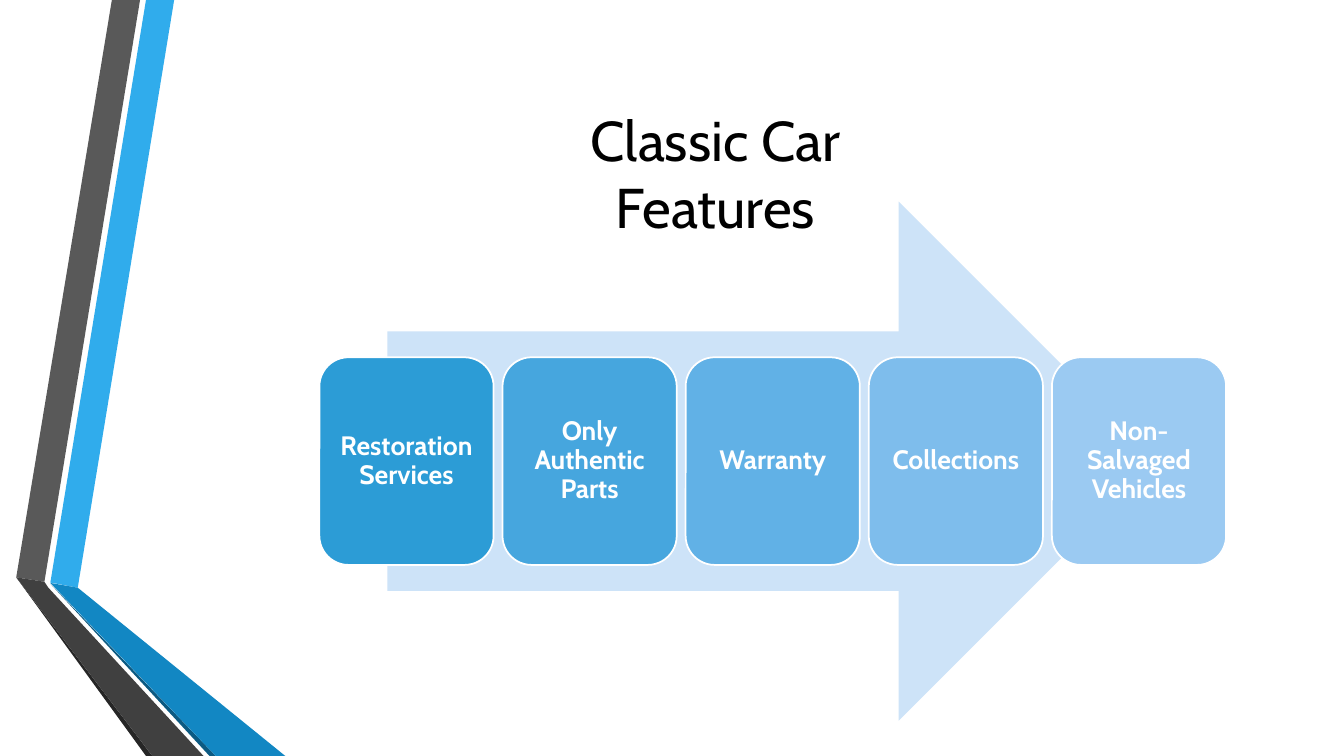
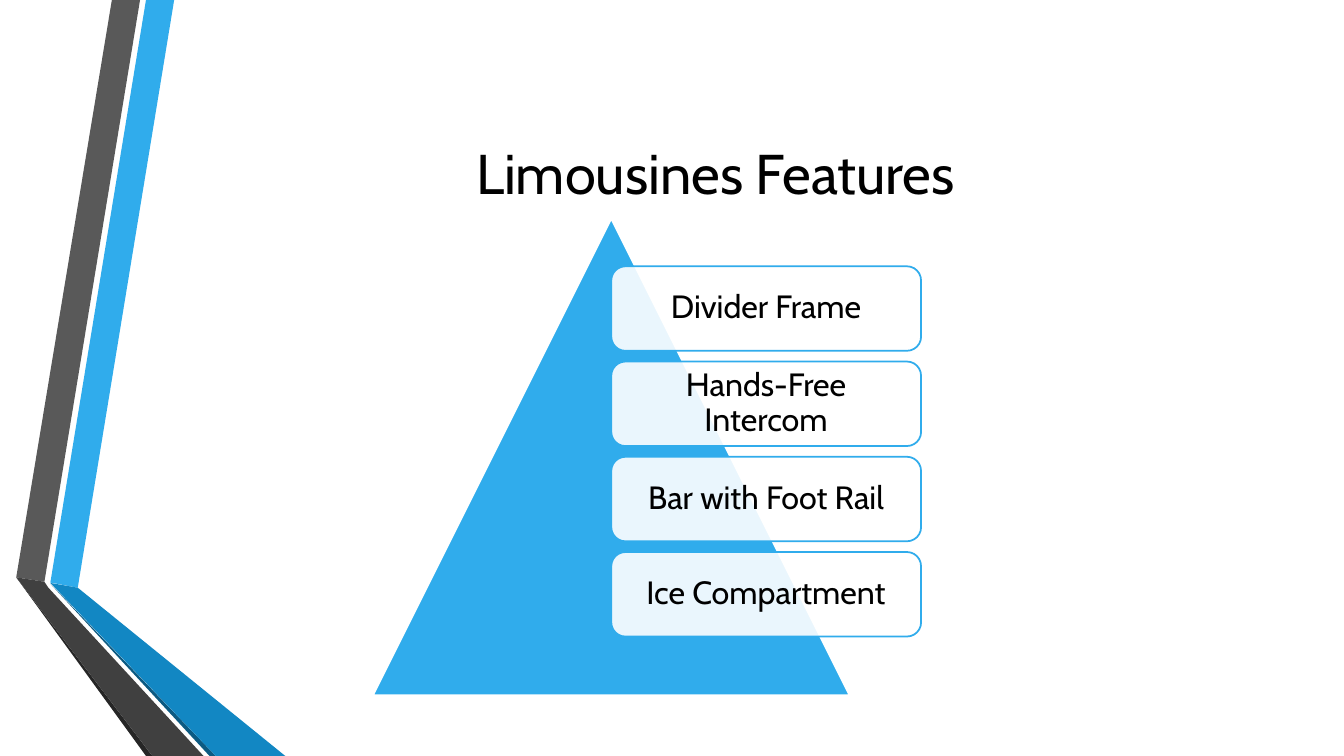
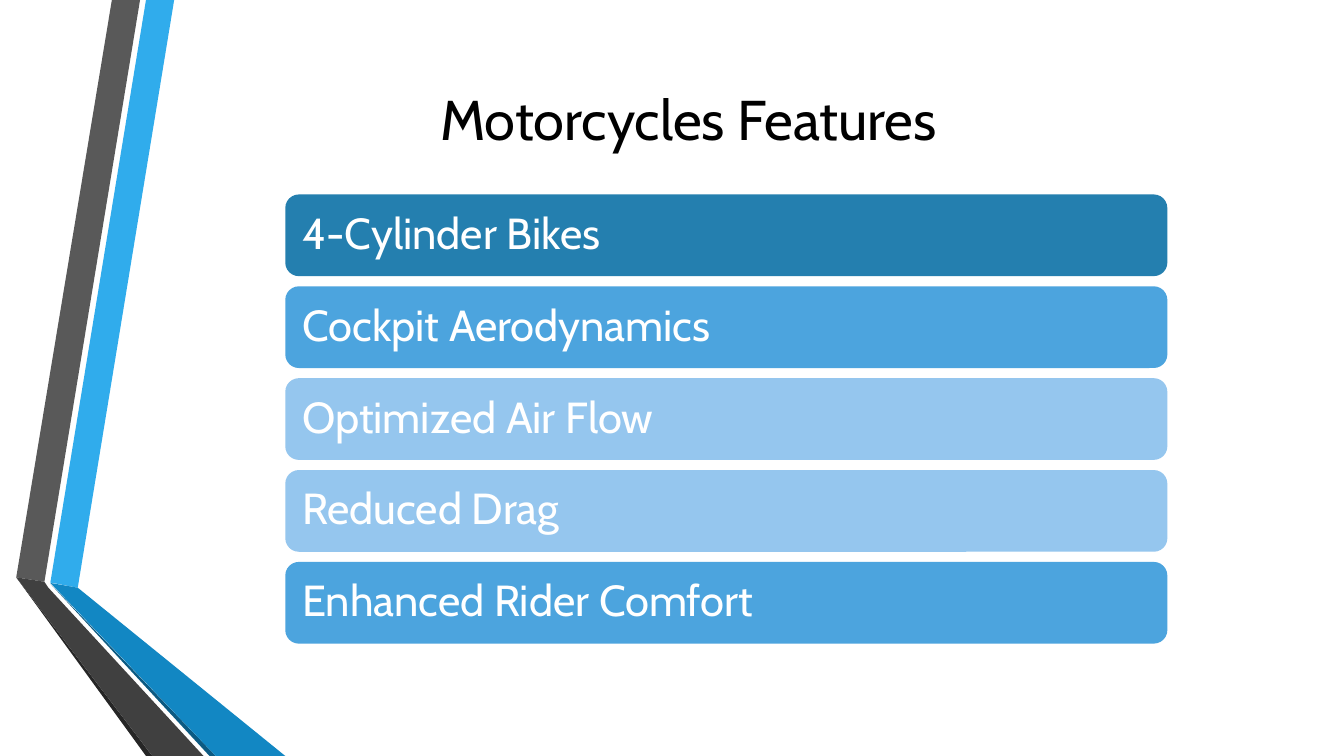
from dataclasses import dataclass

from lxml import etree
from pptx import Presentation
from pptx import util as u
from pptx.dml.color import RGBColor
from pptx.enum import shapes, text
from pptx.oxml import ns

FONT = "Cabin"
BLACK = RGBColor(0x00, 0x00, 0x00)
WHITE = RGBColor(0xFF, 0xFF, 0xFF)
SKY = RGBColor(0x30, 0xAC, 0xEC)
OCEAN = RGBColor(0x12, 0x87, 0xC3)
NAVY = RGBColor(0x0C, 0x5A, 0x82)
GREY = RGBColor(0x59, 0x59, 0x59)
DARK_GREY = RGBColor(0x40, 0x40, 0x40)
CHARCOAL = RGBColor(0x26, 0x26, 0x26)
PALE_BLUE = RGBColor(0xCD, 0xE3, 0xF8)
CARD_BLUES = [
    RGBColor(0x2C, 0x9C, 0xD6),
    RGBColor(0x46, 0xA6, 0xDE),
    RGBColor(0x61, 0xB1, 0xE6),
    RGBColor(0x7E, 0xBD, 0xEC),
    RGBColor(0x9B, 0xCA, 0xF2),
]
BAR_DARK = RGBColor(0x24, 0x7F, 0xAF)
BAR_MEDIUM = RGBColor(0x4C, 0xA4, 0xDE)
BAR_LIGHT = RGBColor(0x95, 0xC6, 0xEE)

RIBBONS = [
    (SKY, [(1.27, 14.68), (1.96, 14.81), (4.39, 0), (3.68, 0)]),
    (GREY, [(3.53, 0), (2.82, 0), (0.41, 14.55), (1.12, 14.66)]),
    (CHARCOAL, [(0.41, 14.55), (3.68, 19.05), (3.84, 19.05)]),
    (NAVY, [(1.27, 14.71), (5.28, 19.05), (5.44, 19.05)]),
    (OCEAN, [(1.27, 14.69), (5.44, 19.05), (7.19, 19.05), (1.96, 14.81)]),
    (DARK_GREY, [(5.13, 19.05), (1.22, 14.81), (1.12, 14.66),
                 (0.41, 14.55), (3.84, 19.05)]),
]


@dataclass
class Box:
    left: float
    top: float
    width: float
    height: float

    def lengths(self):
        return [u.Cm(n) for n in (self.left, self.top, self.width, self.height)]


TITLE_BOX = Box(4.11, 1.9, 27.84, 4.88)
HIGH_TITLE_BOX = Box(5.28, 1.07, 24.13, 3.81)


def style_shape(shape, fill, line=None, opacity=None):
    shape.shadow.inherit = False
    shape.fill.solid()
    shape.fill.fore_color.rgb = fill
    if opacity is not None:
        color = shape.fill._xPr.find(".//" + ns.qn("a:srgbClr"))
        alpha = etree.SubElement(color, ns.qn("a:alpha"))
        alpha.set("val", str(opacity * 1000))
    if line is None:
        shape.line.fill.background()
    else:
        shape.line.color.rgb = line
        shape.line.width = u.Pt(1.25)


def write_text(shape, words, size, color=BLACK, bold=False,
               align=text.PP_ALIGN.CENTER, spacing=None, inset=0.25):
    frame = shape.text_frame
    frame.word_wrap = True
    frame.vertical_anchor = text.MSO_ANCHOR.MIDDLE
    frame.margin_left = frame.margin_right = u.Cm(inset)
    frame.margin_top = frame.margin_bottom = u.Cm(inset)
    paragraph = frame.paragraphs[0]
    paragraph.text = words
    paragraph.alignment = align
    if spacing:
        paragraph.line_spacing = spacing
    for run in paragraph.runs:
        run.font.name = FONT
        run.font.size = u.Pt(size)
        run.font.bold = bold
        run.font.color.rgb = color


def add_preset(slide, preset, box, fill, **style):
    shape = slide.shapes.add_shape(preset, *box.lengths())
    style_shape(shape, fill, **style)
    return shape


def add_panel(slide, box, words, fill, line=None, opacity=None, **text_format):
    panel = add_preset(slide, shapes.MSO_SHAPE.ROUNDED_RECTANGLE, box, fill,
                       line=line, opacity=opacity)
    write_text(panel, words, spacing=0.9, **text_format)


def add_ribbons(slide):
    for color, points in RIBBONS:
        start, *others = [(u.Cm(x), u.Cm(y)) for x, y in points]
        builder = slide.shapes.build_freeform(*start)
        builder.add_line_segments(others, close=True)
        style_shape(builder.convert_to_shape(), color)


def add_titled_slide(presentation, title, box=TITLE_BOX):
    slide = presentation.slides.add_slide(presentation.slide_layouts[6])
    add_ribbons(slide)
    write_text(slide.shapes.add_textbox(*box.lengths()), title, 40)
    return slide


def add_arrow_process(slide, box, labels):
    arrow_inset = box.width * 0.075
    arrow = Box(box.left + arrow_inset, box.top,
                box.width - 2 * arrow_inset, box.height)
    add_preset(slide, shapes.MSO_SHAPE.RIGHT_ARROW, arrow, PALE_BLUE)
    card_width, card_height = 4.39, box.height * 0.4
    step = (box.width - card_width) / (len(labels) - 1)
    for index, (label, fill) in enumerate(zip(labels, CARD_BLUES)):
        card = Box(box.left + index * step, box.top + box.height * 0.3,
                   card_width, card_height)
        add_panel(slide, card, label, fill, line=WHITE, size=19,
                  color=WHITE, bold=True, inset=0.2)


def add_pyramid_list(slide, box, labels):
    add_preset(slide, shapes.MSO_SHAPE.ISOSCELES_TRIANGLE, box, SKY, line=WHITE)
    for index, label in enumerate(labels):
        card = Box(box.left + box.width / 2, box.top + box.height * 0.1 + index * 2.4,
                   box.width * 0.65, 2.13)
        add_panel(slide, card, label, WHITE, line=SKY, opacity=90, size=23)


def add_bar_list(slide, box, bars):
    bar_height = 2.06
    step = (box.height - bar_height) / (len(bars) - 1)
    for index, (label, fill) in enumerate(bars):
        bar = Box(box.left, box.top + index * step, box.width, bar_height)
        add_panel(slide, bar, label, fill, size=31, color=WHITE,
                  align=text.PP_ALIGN.LEFT, inset=0.33)


def main():
    presentation = Presentation()
    presentation.slide_width = u.Cm(33.87)
    presentation.slide_height = u.Cm(19.05)

    slide = add_titled_slide(presentation, "Classic Car\vFeatures")
    add_arrow_process(slide, Box(8.05, 5.08, 22.85, 13.08), [
        "Restoration Services", "Only Authentic Parts", "Warranty",
        "Collections", "Non-Salvaged Vehicles"])

    slide = add_titled_slide(presentation, "Limousines Features")
    add_pyramid_list(slide, Box(9.4, 5.51, 12.01, 12.01), [
        "Divider Frame", "Hands-Free Intercom", "Bar with Foot Rail",
        "Ice Compartment"])

    slide = add_titled_slide(presentation, "Motorcycles Features", HIGH_TITLE_BOX)
    add_bar_list(slide, Box(7.19, 4.9, 22.23, 11.32), [
        ("4-Cylinder Bikes", BAR_DARK),
        ("Cockpit Aerodynamics", BAR_MEDIUM),
        ("Optimized Air Flow", BAR_LIGHT),
        ("Reduced Drag", BAR_LIGHT),
        ("Enhanced Rider Comfort", BAR_MEDIUM)])

    presentation.save("out.pptx")


if __name__ == "__main__":
    main()
